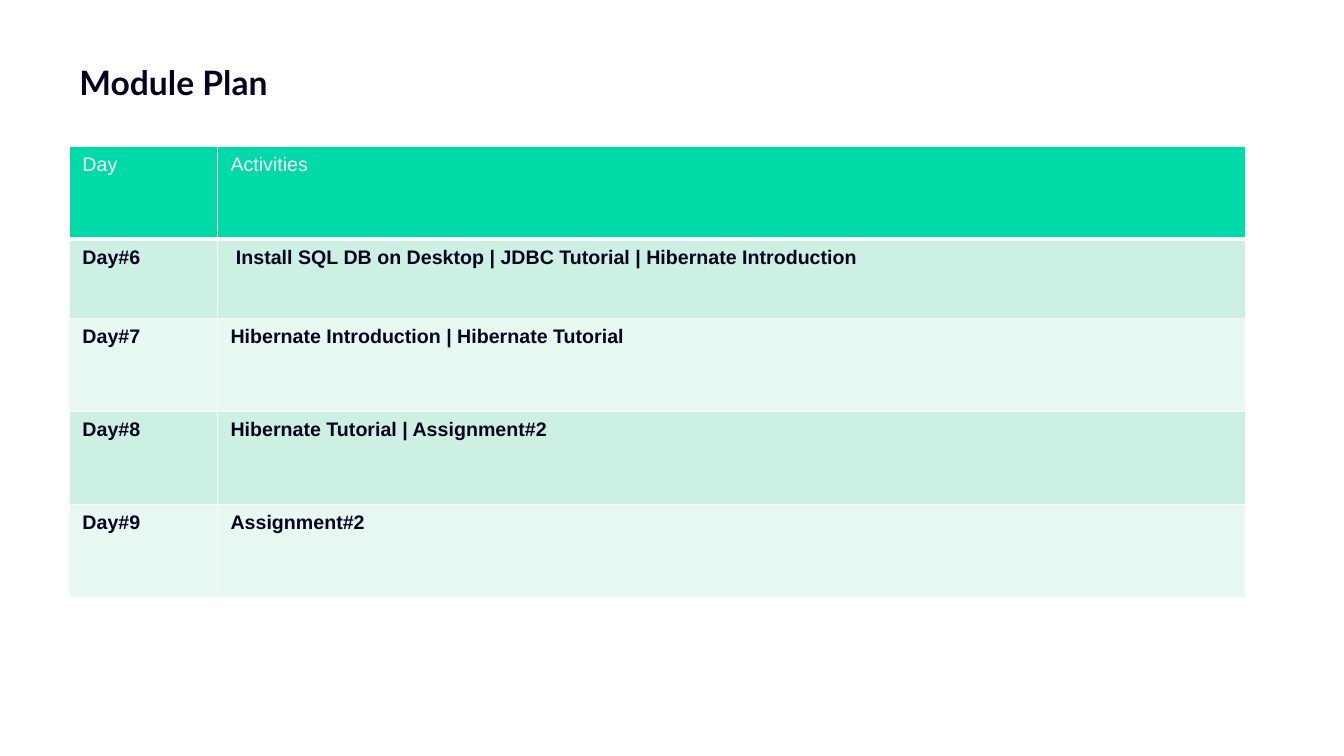
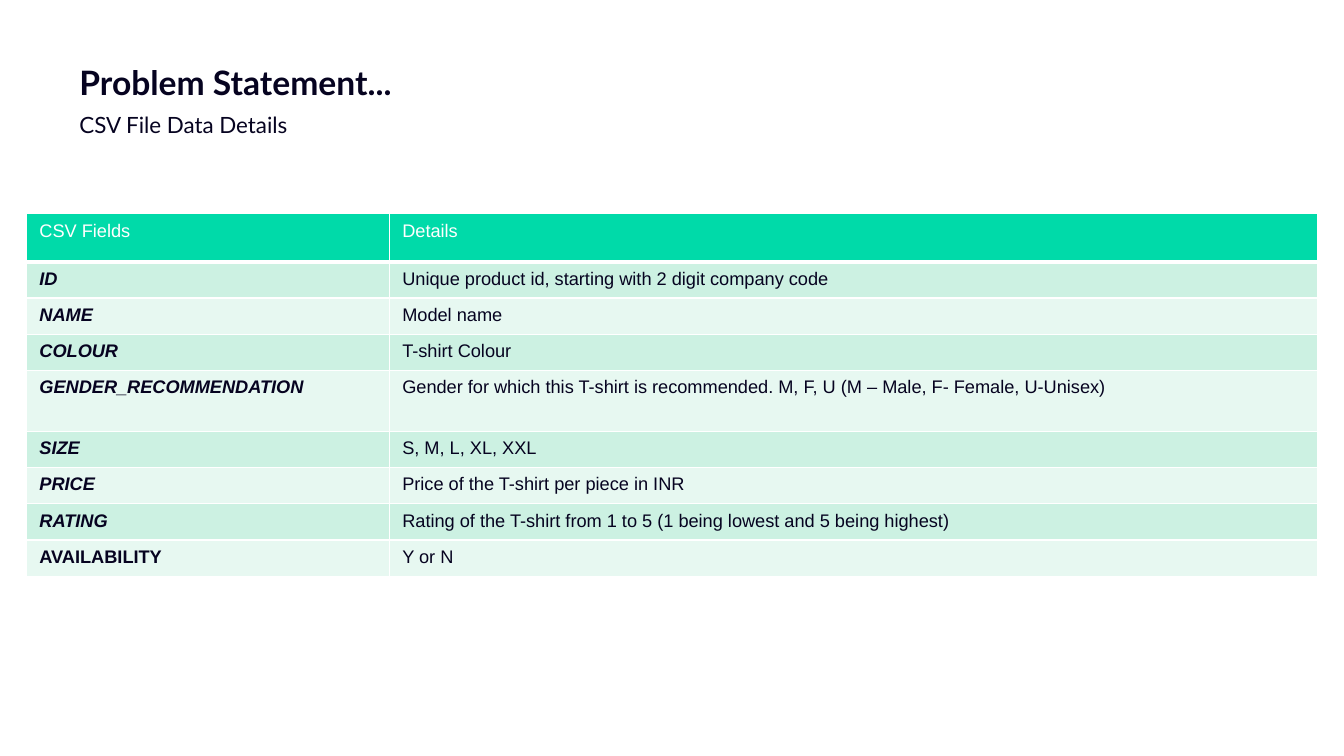
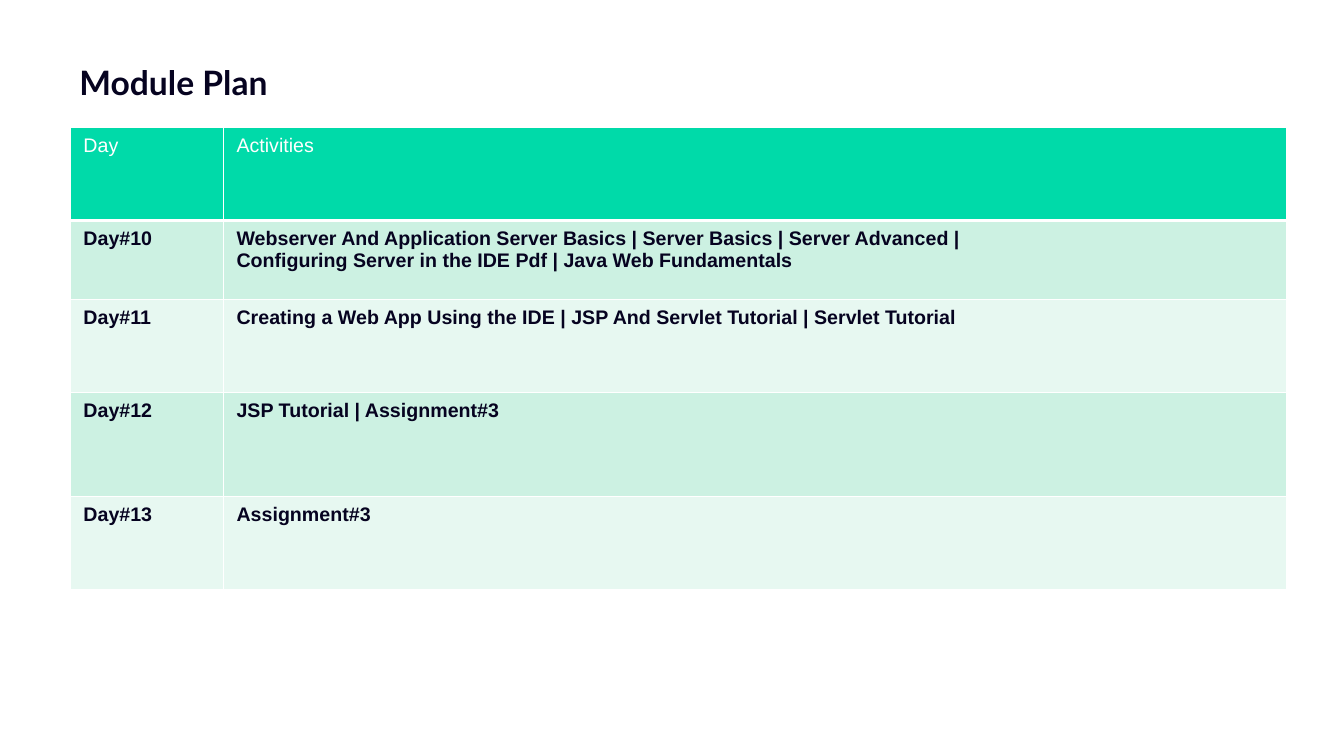
import pptx
import pptx.util
import pptx.dml.color
import pptx.enum.text
import pptx.oxml
import pptx.oxml.ns

Pt = pptx.util.Pt


class Theme:
    dark = "060320"
    white = "FFFFFF"
    head = "00DAA9"
    bands = ("CCF1E2", "E7F8F1")
    title = dict(name="Lato", size=Pt(24), bold=True)
    sub = dict(name="Lato", size=Pt(16), bold=False)
    cell = dict(name="Arial", bold=False, italic=False)
    text_pad = (7.2, 5.8, 7.2, 3.6)
    cell_pad = (9.2, 5, 9.2, 5)
    rule, thick = 1, 3


SIDES = ("left", "top", "right", "bottom")


def rgb(code):
    return pptx.dml.color.RGBColor.from_string(code)


def style(run, look, color):
    for key, value in look.items():
        setattr(run.font, key, value)
    run.font.color.rgb = rgb(color)


def pad(item, sizes):
    for side, size in zip(SIDES, sizes):
        setattr(item, "margin_" + side, Pt(size))


def label(slide, box, text, look, before=0):
    frame = slide.shapes.add_textbox(*map(Pt, box)).text_frame
    frame.word_wrap = True
    frame.auto_size = pptx.enum.text.MSO_AUTO_SIZE.SHAPE_TO_FIT_TEXT
    pad(frame, Theme.text_pad)
    para = frame.paragraphs[0]
    para.space_before = Pt(before)
    run = para.add_run()
    run.text = text
    style(run, look, Theme.dark)


def heading(slide, box, title, sub=None):
    left, top, width, height = box
    label(slide, box, title, Theme.title)
    if sub:
        label(slide, (left, top + 35.3, width, 28.8), sub, Theme.sub, 10)


def edges(cell, base):
    # Cell borders come before the fill in the cell properties
    props = cell._tc.get_or_add_tcPr()
    for side, width in zip("LRTB", (Theme.rule,) * 3 + (base,)):
        props.append(pptx.oxml.parse_xml(
            f'<a:ln{side} {pptx.oxml.ns.nsdecls("a")} w="{Pt(width)}">'
            f'<a:solidFill><a:srgbClr val="{Theme.white}"/></a:solidFill>'
            f'</a:ln{side}>'))


def fill_cell(cell, text, look, color, back, base):
    pad(cell, Theme.cell_pad)
    edges(cell, base)
    cell.fill.solid()
    cell.fill.fore_color.rgb = rgb(back)
    cell.text = text
    for para in cell.text_frame.paragraphs:
        for run in para.runs:
            style(run, look, color)


def grid(slide, spot, cols, highs, rows, size, looks):
    """Place a table at spot; looks(row, col) gives the extra body format."""
    box = (*spot, sum(cols), sum(highs))
    table = slide.shapes.add_table(len(rows), len(cols), *map(Pt, box)).table
    table.first_row = table.horz_banding = False
    for col, width in zip(table.columns, cols):
        col.width = Pt(width)
    for r, (row, high) in enumerate(zip(rows, highs)):
        table.rows[r].height = Pt(high)
        for c, text in enumerate(row):
            look = {**Theme.cell, "size": Pt(size)}
            if r == 0:
                color, back, base = Theme.white, Theme.head, Theme.thick
            else:
                look.update(looks(row, c))
                color, base = Theme.dark, Theme.rule
                back = Theme.bands[(r - 1) % 2]
            fill_cell(table.cell(r, c), text, look, color, back, base)


def plan_look(row, col):
    return dict(bold=True)


def field_look(row, col):
    return dict(bold=col == 0, italic=col == 0 and row[0] != "AVAILABILITY")


HEAD = (49.7, 38.2, 341.3, 38.2)

PLAN_A = [
    ("Day", "Activities"),
    ("Day#6", " Install SQL DB on Desktop | JDBC Tutorial | Hibernate Introduction"),
    ("Day#7", "Hibernate Introduction | Hibernate Tutorial"),
    ("Day#8", "Hibernate Tutorial | Assignment#2"),
    ("Day#9", "Assignment#2"),
]
FIELDS = [
    ("CSV Fields", "Details"),
    ("ID", "Unique product id, starting with 2 digit company code"),
    ("NAME", "Model name"),
    ("COLOUR", "T-shirt Colour"),
    ("GENDER_RECOMMENDATION",
     "Gender for which this T-shirt is recommended. M, F, U "
     "(M – Male, F- Female, U-Unisex)"),
    ("SIZE", "S, M, L, XL, XXL"),
    ("PRICE", "Price of the T-shirt per piece in INR"),
    ("RATING",
     "Rating of the T-shirt from 1 to 5 (1 being lowest and 5 being highest)"),
    ("AVAILABILITY", "Y or N"),
]
PLAN_B = [
    ("Day", "Activities"),
    ("Day#10",
     "Webserver And Application Server Basics | Server Basics | Server Advanced |\n"
     "Configuring Server in the IDE Pdf | Java Web Fundamentals"),
    ("Day#11",
     "Creating a Web App Using the IDE | JSP And Servlet Tutorial | Servlet Tutorial"),
    ("Day#12", "JSP Tutorial | Assignment#3"),
    ("Day#13", "Assignment#3"),
]

# Each slide: title, subtitle, then the table's spot, columns, rows and format
SLIDES = [
    ("Module Plan", None, (49.7, 104.6), (105.8, 734.4),
     (66.3, 56.9, 66.3, 66.3, 66.3), PLAN_A, 14, plan_look),
    ("Problem Statement...", "CSV File Data Details", (19, 152.6), (259.2, 663.1),
     (34.4, *[25.9] * 3, 43.4, *[25.9] * 4), FIELDS, 13, field_look),
    ("Module Plan", None, (50.4, 91.2), (109.4, 758.9),
     (66.3, 56.5, 66.3, 74.7, 66.3), PLAN_B, 14, plan_look),
]


def main():
    deck = pptx.Presentation()
    deck.slide_width, deck.slide_height = Pt(960), Pt(540)
    for title, sub, *table in SLIDES:
        slide = deck.slides.add_slide(deck.slide_layouts[6])
        heading(slide, HEAD, title, sub)
        grid(slide, *table)
    deck.save("out.pptx")


if __name__ == "__main__":
    main()
